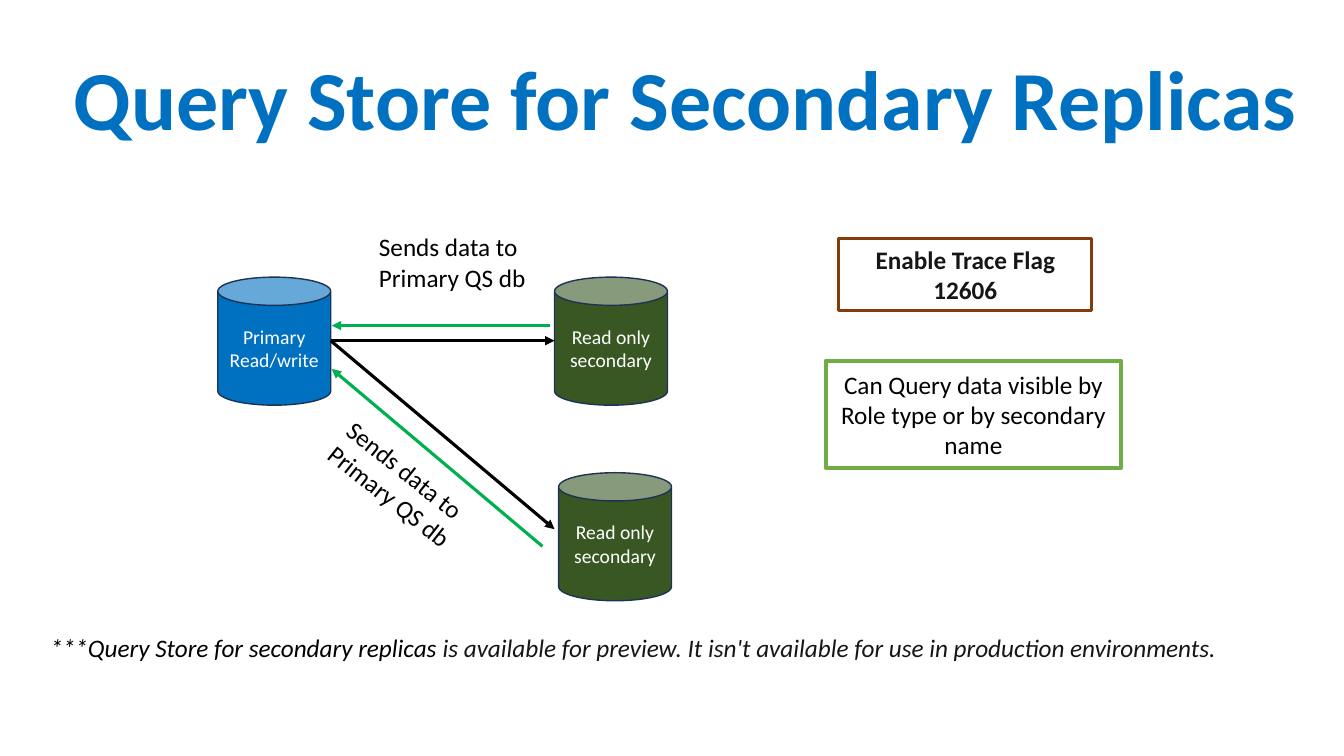
import pptx
import pptx.dml.color
import pptx.enum.shapes
import pptx.enum.text
import pptx.oxml.ns
import pptx.util
from lxml import etree

EMU_PER_PX = 9144
SHAPES = pptx.enum.shapes.MSO_SHAPE
ANCHORS = pptx.enum.text.MSO_ANCHOR
ALIGNMENTS = pptx.enum.text.PP_ALIGN
BLUE, GREEN, ARROW_GREEN = "0070C0", "385723", "00B050"
BLACK, INK, WHITE = "000000", "161616", "FFFFFF"


def px(*lengths):
    return [pptx.util.Emu(length * EMU_PER_PX) for length in lengths]


def color(hex_string):
    return pptx.dml.color.RGBColor.from_string(hex_string)


def set_values(target, values):
    for name, value in values.items():
        setattr(target, name, value)


def write(shape, paragraphs, size, anchor=ANCHORS.TOP, alignment=ALIGNMENTS.LEFT, spacing=1.0, **style):
    frame = shape.text_frame
    set_values(frame, {"word_wrap": True, "vertical_anchor": anchor})
    for index, spans in enumerate(paragraphs):
        para = frame.add_paragraph() if index else frame.paragraphs[0]
        set_values(para, {"alignment": alignment, "line_spacing": spacing})
        for text, ink in spans:
            span = para.add_run()
            span.text = text
            set_values(span.font, {"name": "Calibri", "size": pptx.util.Pt(size), **style})
            span.font.color.rgb = color(ink)


def add_text(page, box, paragraphs, size, rotation=0, **style):
    label = page.shapes.add_textbox(*px(*box))
    label.rotation = rotation
    write(label, paragraphs, size, **style)


def add_block(page, kind, box, fill, outline, width, paragraphs, size, **style):
    block = page.shapes.add_shape(kind, *px(*box))
    block.shadow.inherit = False
    if fill:
        block.fill.solid()
        block.fill.fore_color.rgb = color(fill)
    else:
        block.fill.background()
    block.line.color.rgb = color(outline)
    block.line.width = pptx.util.Pt(width)
    write(block, paragraphs, size, ANCHORS.MIDDLE, ALIGNMENTS.CENTER, **style)


def add_database(page, left, top, fill, lines):
    paragraphs = [[(line, WHITE)] for line in lines]
    add_block(page, SHAPES.CAN, (left, top, 112, 127), fill, "1E3256", 1, paragraphs, 14)


def add_arrow(page, start, end, ink):
    arrow = page.shapes.add_connector(pptx.enum.shapes.MSO_CONNECTOR.STRAIGHT, *px(*start, *end))
    arrow.line.color.rgb = color(ink)
    arrow.line.width = pptx.util.Pt(2.25)
    head = etree.SubElement(arrow.line._get_or_add_ln(), pptx.oxml.ns.qn("a:tailEnd"))
    head.set("type", "triangle")
    etree.SubElement(arrow._element.spPr, pptx.oxml.ns.qn("a:effectLst"))


def main():
    deck = pptx.Presentation()
    deck.slide_width, deck.slide_height = px(1333, 750)
    page = deck.slides.add_slide(deck.slide_layouts[6])

    add_text(page, (63, 30, 1250, 145), [[("Query Store for Secondary Replicas", BLUE)]], 60,
             anchor=ANCHORS.MIDDLE, spacing=0.9, bold=True)

    add_database(page, 216, 275, BLUE, ["Primary", "Read/write"])
    for left, top in ((550, 275), (554, 469)):
        add_database(page, left, top, GREEN, ["Read only secondary"])

    for start, end, ink in (
        ((328, 338), (550, 338), BLACK),
        ((328, 338), (550, 525), BLACK),
        ((546, 323), (329, 323), ARROW_GREEN),
        ((538, 542), (329, 366), ARROW_GREEN),
    ):
        add_arrow(page, start, end, ink)

    for left, top, rotation in ((366, 225, 0), (311, 450, 38.4)):
        add_text(page, (left, top, 181, 71), [[("Sends data to Primary QS db", BLACK)]], 18, rotation)

    add_text(page, (40, 622, 1198, 40), [[
        ("***Query Store for secondary replicas", BLACK),
        (" is available for preview. It isn't available for use in production environments.", INK),
    ]], 18, italic=True)

    add_block(page, SHAPES.RECTANGLE, (832, 237, 251, 71), None, "843C0B", 2.25,
              [[("Enable Trace Flag 12606", INK)]], 18, bold=True)
    add_block(page, SHAPES.RECTANGLE, (819, 358, 293, 106), WHITE, "70AD47", 3,
              [[("Can Query data visible by Role type or by secondary name", BLACK)]], 18)

    deck.save("out.pptx")


if __name__ == "__main__":
    main()
